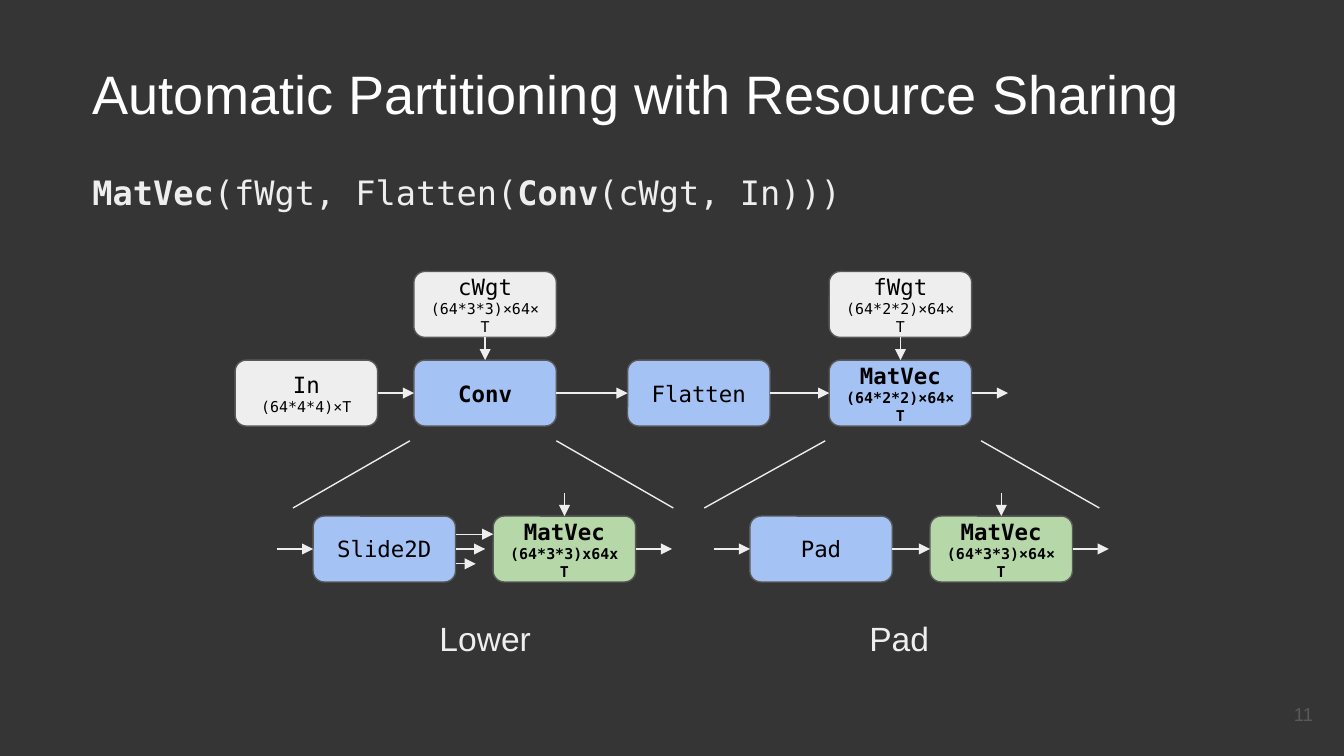
from lxml.etree import SubElement
from pptx import Presentation
from pptx.dml.color import RGBColor
from pptx.enum.shapes import MSO_CONNECTOR as Connector, MSO_SHAPE as Shape
from pptx.enum.text import MSO_ANCHOR as Anchor, MSO_AUTO_SIZE as AutoSize, PP_ALIGN as Align
from pptx.oxml.ns import qn
from pptx.util import Inches, Pt

SANS, MONO = "Arial", "DejaVu Sans Mono"
WHITE, PALE, GREY, BLACK = "FFFFFF", "EEEEEE", "595959", "000000"
BLUE, GREEN, DARK = "A4C2F4", "B6D7A8", "353535"

BOX_W, BOX_H = 1.06, 0.49
WEIGHT_Y, GRAPH_Y, DETAIL_Y = 2.02, 2.68, 3.84
IN_X, CONV_X, FLATTEN_X, MATVEC_X = 1.75, 3.08, 4.67, 6.17
DETAIL_STEP = 1.34
STUB = 0.27     # length of a loose horizontal arrow
DROP = 0.17     # length of a vertical arrow


def color(hex_string):
    return RGBColor.from_string(hex_string)


class Deck:
    """Holds the slide and its style, and draws each kind of element."""

    def __init__(self, slide, line_width=0.75, margin=0.1):
        self.slide = slide
        self.line_width = Pt(line_width)
        self.margin = Inches(margin)
        slide.background.fill.solid()
        slide.background.fill.fore_color.rgb = color(DARK)

    def frame(self, shape, anchor):
        frame = shape.text_frame
        settings = {"word_wrap": True, "auto_size": AutoSize.NONE, "vertical_anchor": anchor}
        settings.update({f"margin_{side}": self.margin
                         for side in ("left", "top", "right", "bottom")})
        for name, value in settings.items():
            setattr(frame, name, value)
        return frame

    def run(self, paragraph, text, size, font, ink, bold=False):
        run = paragraph.add_run()
        run.text = text
        for name, value in {"size": Pt(size), "name": font, "bold": bold}.items():
            setattr(run.font, name, value)
        run.font.color.rgb = color(ink)

    def title(self, text, x, y, w, h):
        title = self.slide.shapes.title
        bounds = {"left": x, "top": y, "width": w, "height": h}
        for name, value in bounds.items():
            setattr(title, name, Inches(value))
        paragraph = self.frame(title, Anchor.TOP).paragraphs[0]
        paragraph.alignment = Align.LEFT
        self.run(paragraph, text, 29, SANS, WHITE)

    def text(self, runs, x, y, w, h, size, font=SANS, ink=PALE,
             align=Align.LEFT, anchor=Anchor.TOP):
        """Add a text box; runs are (text, bold) pairs."""
        box = self.slide.shapes.add_textbox(*map(Inches, (x, y, w, h)))
        paragraph = self.frame(box, anchor).paragraphs[0]
        paragraph.alignment = align
        for words, bold in runs:
            self.run(paragraph, words, size, font, ink, bold)

    def node(self, name, x, y, fill, dims="", bold=False):
        """Add a graph node; a bold one keeps its dimensions in the same paragraph."""
        box = self.slide.shapes.add_shape(
            Shape.ROUNDED_RECTANGLE, *map(Inches, (x, y, BOX_W, BOX_H)))
        box.shadow.inherit = False
        box.fill.solid()
        box.fill.fore_color.rgb = color(fill)
        box.line.color.rgb = color(GREY)
        box.line.width = self.line_width
        frame = self.frame(box, Anchor.MIDDLE)
        paragraph = frame.paragraphs[0]
        paragraph.alignment = Align.CENTER
        self.run(paragraph, name, 12, MONO, BLACK, bold)
        if dims:
            if bold:
                paragraph.add_line_break()
            else:
                paragraph = frame.add_paragraph()
                paragraph.alignment = Align.CENTER
            self.run(paragraph, dims, 8, MONO, BLACK, bold)

    def line(self, x1, y1, x2, y2, arrow=False):
        line = self.slide.shapes.add_connector(
            Connector.STRAIGHT, *map(Inches, (x1, y1, x2, y2)))
        line.line.color.rgb = color(PALE)
        line.line.width = self.line_width
        properties = line._element.spPr
        if arrow:
            SubElement(properties.find(qn("a:ln")), qn("a:tailEnd"), type="triangle")
        SubElement(properties, qn("a:effectLst"))

    def across(self, x1, x2, y):
        self.line(x1, y, x2, y, arrow=True)

    def into(self, x, y):
        """Arrow down into the top of the node at x, y."""
        middle = x + BOX_W / 2
        self.line(middle, y - DROP, middle, y, arrow=True)


def main():
    prs = Presentation()
    prs.slide_width = Inches(10)
    prs.slide_height = prs.slide_width * 9 // 16
    deck = Deck(prs.slides.add_slide(prs.slide_layouts[5]))

    deck.title("Automatic Partitioning with Resource Sharing", 0.59, 0.35, 8.4, 0.84)
    deck.text([("11", False)], 9.27, 5.1, 0.6, 0.43, 10, ink=GREY,
              align=Align.RIGHT, anchor=Anchor.MIDDLE)
    deck.text([("MatVec", True), ("(fWgt, Flatten(", False),
               ("Conv", True), ("(cWgt, In)))", False)],
              0.59, 1.18, 8.86, 0.5, 18, font=MONO)

    # Main graph
    deck.node("Conv", CONV_X, GRAPH_Y, BLUE, bold=True)
    deck.node("In", IN_X, GRAPH_Y, PALE, "(64*4*4)×T")
    deck.node("Flatten", FLATTEN_X, GRAPH_Y, BLUE)
    deck.node("MatVec", MATVEC_X, GRAPH_Y, BLUE, "(64*2*2)×64×T", bold=True)
    stops = [IN_X, CONV_X, FLATTEN_X, MATVEC_X, MATVEC_X + BOX_W + STUB]
    for start, end in zip(stops, stops[1:]):
        deck.across(start + BOX_W, end, GRAPH_Y + BOX_H / 2)
    for name, x, dims in (("cWgt", CONV_X, "(64*3*3)×64×T"),
                          ("fWgt", MATVEC_X, "(64*2*2)×64×T")):
        deck.node(name, x, WEIGHT_Y, PALE, dims)
        deck.into(x, GRAPH_Y)

    # What Conv and MatVec expand into
    details = (
        ("Slide2D", 2.33, "(64*3*3)x64xT", [(0, 0.22), (0.11, 0.15), (-0.11, 0.28)],
         [(3.05, 2.18), (4.14, 5.01)], "Lower", 3.12),
        ("Pad", 5.58, "(64*3*3)×64×T", [(0, 0.28)],
         [(6.14, 5.24), (7.3, 8.18)], "Pad", 6.2),
    )
    middle = DETAIL_Y + BOX_H / 2
    for name, x, dims, links, fan, caption, caption_x in details:
        matvec_x = x + DETAIL_STEP
        deck.node("MatVec", matvec_x, DETAIL_Y, GREEN, dims, bold=True)
        deck.node(name, x, DETAIL_Y, BLUE)
        deck.across(matvec_x + BOX_W, matvec_x + BOX_W + STUB, middle)
        deck.into(matvec_x, DETAIL_Y)
        for offset, length in links:
            deck.across(x + BOX_W, x + BOX_W + length, middle + offset)
        deck.across(x - STUB, x, middle)
        for top_x, bottom_x in fan:
            deck.line(top_x, 3.28, bottom_x, 3.78)
        deck.text([(caption, False)], caption_x, 4.5, 0.98, 0.43, 18, align=Align.CENTER)

    prs.save("out.pptx")


if __name__ == "__main__":
    main()
